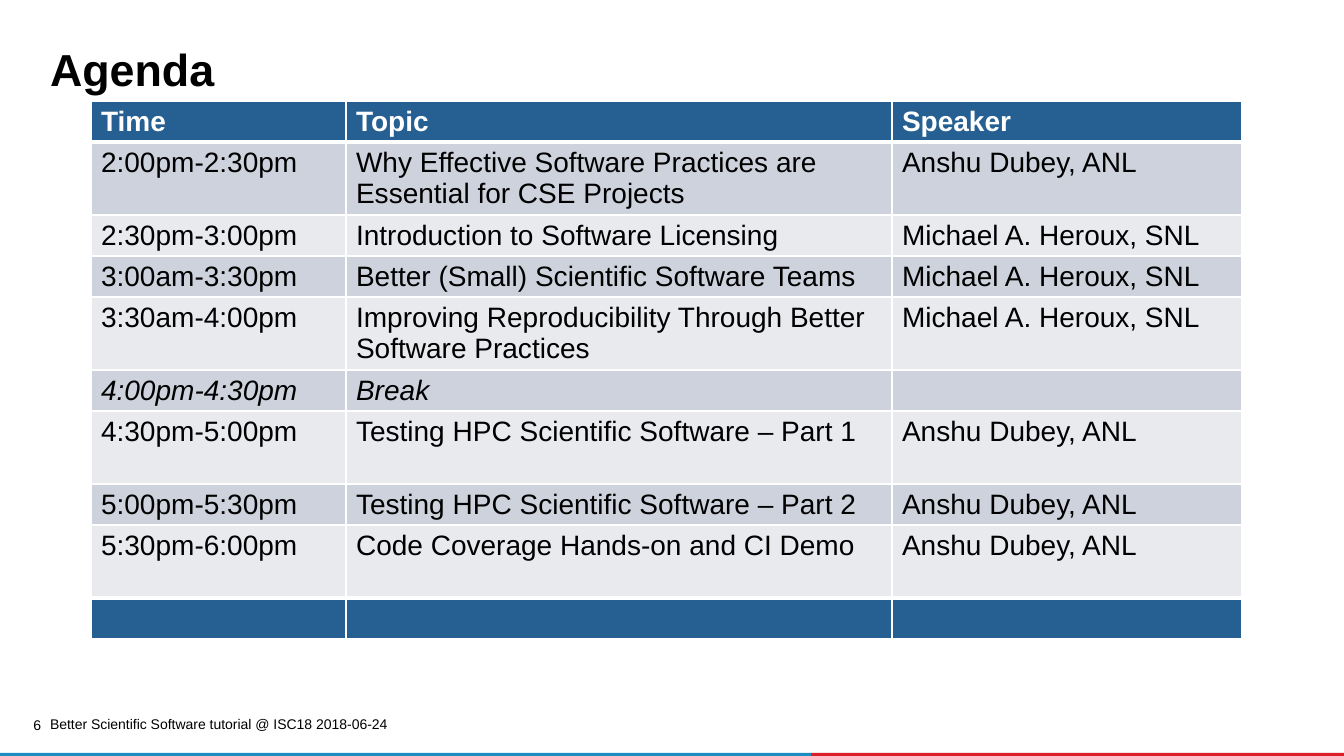
"""Build the tutorial agenda slide."""
import pptx
import pptx.dml.color
import pptx.enum.shapes
import pptx.enum.text
import pptx.oxml
import pptx.oxml.ns
import pptx.util

RGBColor = pptx.dml.color.RGBColor
BLACK = RGBColor(0x00, 0x00, 0x00)
WHITE = RGBColor(0xFF, 0xFF, 0xFF)
HEADER_BLUE = RGBColor(0x26, 0x60, 0x92)
BAND_DARK = RGBColor(0xCD, 0xD2, 0xDC)
BAND_LIGHT = RGBColor(0xE8, 0xEA, 0xEE)
STRIPE_BLUE = RGBColor(0x1B, 0x8D, 0xC3)
STRIPE_RED = RGBColor(0xDA, 0x1F, 0x28)
ANCHOR = pptx.enum.text.MSO_ANCHOR
ALIGN = pptx.enum.text.PP_ALIGN


def px(*lengths):
    return [pptx.util.Emu(round(length * 914400 / 100.8)) for length in lengths]


def write(frame, text, size=10, color=BLACK, bold=False, italic=False,
          align=ALIGN.LEFT, spacing=None):
    paragraph = frame.paragraphs[0]
    paragraph.alignment = align
    paragraph.line_spacing = spacing
    run = paragraph.add_run()
    run.text = text
    run.font.name = "Arial"
    run.font.size = pptx.util.Pt(size)
    run.font.color.rgb = color
    run.font.bold = bold
    run.font.italic = italic


presentation = pptx.Presentation()
presentation.slide_width, presentation.slide_height = px(1344, 756)
slide = presentation.slides.add_slide(presentation.slide_layouts[6])

for left, width, color in [(811, 533, STRIPE_RED), (-1, 812, STRIPE_BLUE)]:
    stripe = slide.shapes.add_shape(
        pptx.enum.shapes.MSO_SHAPE.RECTANGLE, *px(left, 753, width, 3))
    stripe.shadow.inherit = False
    stripe.fill.solid()
    stripe.fill.fore_color.rgb = color
    stripe.line.fill.background()

captions = [
    ("Better Scientific Software tutorial @ ISC18 2018-06-24",
     (40, 714, 366, 20), ANCHOR.MIDDLE, (10, 5), {}),
    ("6", (18, 718, 23, 17), ANCHOR.TOP, (0, 0),
     {"align": ALIGN.RIGHT, "spacing": 0.9}),
    ("Agenda", (40, 44, 1254, 57), ANCHOR.BOTTOM, (10, 5),
     {"size": 32, "bold": True, "spacing": 0.85}),
]
for text, box, anchor, (side, edge), style in captions:
    frame = slide.shapes.add_textbox(*px(*box)).text_frame
    frame.word_wrap = True
    frame.vertical_anchor = anchor
    frame.margin_left, frame.margin_right = px(side, side)
    frame.margin_top, frame.margin_bottom = px(edge, edge)
    write(frame, text, **style)

DUBEY = "Anshu Dubey, ANL"
HEROUX = "Michael A. Heroux, SNL"
SHORT, TALL = 41, 73
agenda = [
    (SHORT, "Time", "Topic", "Speaker"),
    (TALL, "2:00pm-2:30pm",
     "Why Effective Software Practices are Essential for CSE Projects", DUBEY),
    (SHORT, "2:30pm-3:00pm", "Introduction to Software Licensing", HEROUX),
    (SHORT, "3:00am-3:30pm", "Better (Small) Scientific Software Teams", HEROUX),
    (TALL, "3:30am-4:00pm",
     "Improving Reproducibility Through Better Software Practices", HEROUX),
    (SHORT, "4:00pm-4:30pm", "Break", ""),
    (TALL, "4:30pm-5:00pm", "Testing HPC Scientific Software – Part 1", DUBEY),
    (SHORT, "5:00pm-5:30pm", "Testing HPC Scientific Software – Part 2", DUBEY),
    (TALL, "5:30pm-6:00pm", "Code Coverage Hands-on and CI Demo", DUBEY),
    (SHORT, "", "", ""),
]
column_widths = [255, 546, 350]
last = len(agenda) - 1
table_height = sum(height for height, *texts in agenda)
table = slide.shapes.add_table(
    len(agenda), len(column_widths),
    *px(91, 101, sum(column_widths), table_height)).table
for column, width in zip(table.columns, px(*column_widths)):
    column.width = width

for index, (height, *texts) in enumerate(agenda):
    table.rows[index].height = px(height)[0]
    is_header = index == 0
    is_break = "Break" in texts
    if index in (0, last):
        fill_color = HEADER_BLUE
    else:
        fill_color = BAND_DARK if index % 2 else BAND_LIGHT
    border_points = {
        "L": 1, "R": 1,
        "T": 3 if index in (1, last) else 1,
        "B": 3 if index in (0, last - 1) else 1,
    }
    for cell, text in zip(table.rows[index].cells, texts):
        cell.margin_bottom = 0
        properties = cell._tc.get_or_add_tcPr()
        for side, points in border_points.items():
            properties.append(pptx.oxml.parse_xml(
                f'<a:ln{side} {pptx.oxml.ns.nsdecls("a")} w="{points * 12700}">'
                f'<a:solidFill><a:srgbClr val="{WHITE}"/></a:solidFill>'
                f'</a:ln{side}>'))
        cell.fill.solid()
        cell.fill.fore_color.rgb = fill_color
        if text:
            write(cell.text_frame, text, size=20, bold=is_header, italic=is_break,
                  color=WHITE if is_header else BLACK)

presentation.save("out.pptx")
